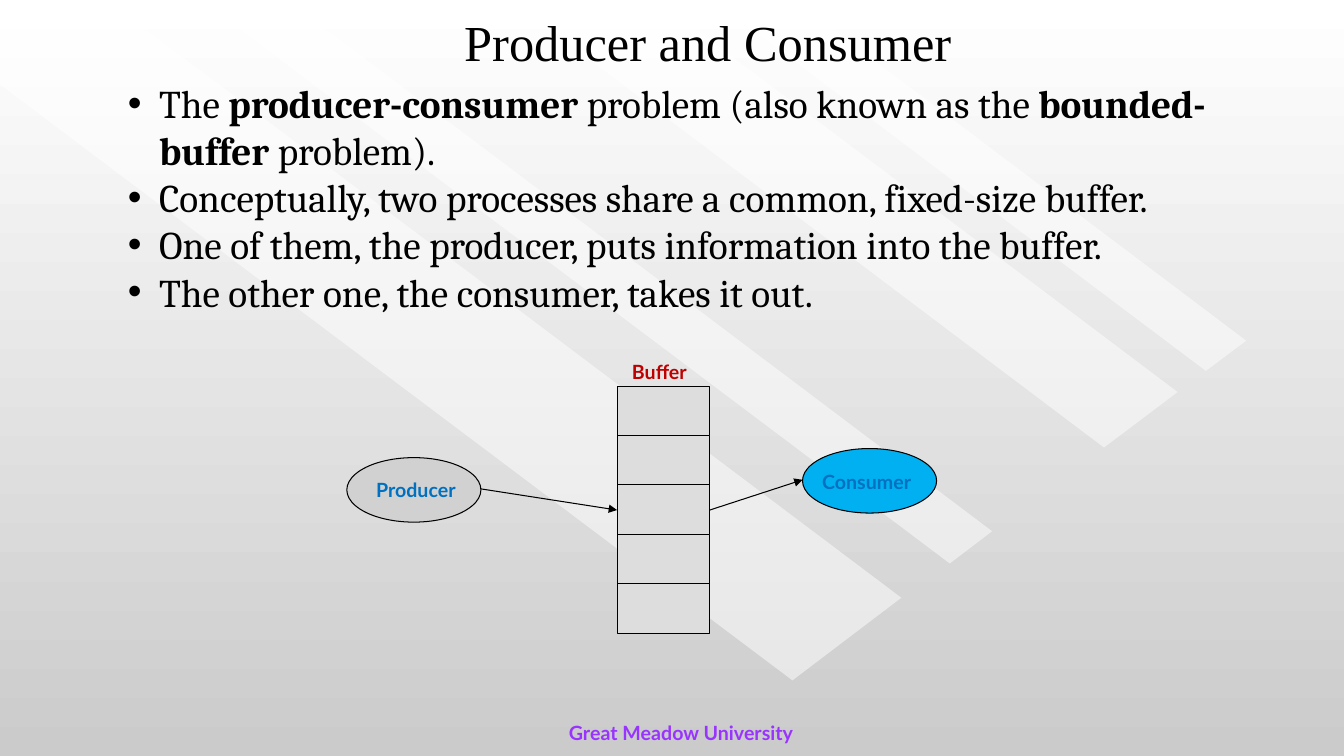
from dataclasses import dataclass

import pptx
import pptx.dml.color
import pptx.enum.shapes
import pptx.enum.text
import pptx.oxml.ns
import pptx.oxml.xmlchemy
import pptx.util
from lxml import etree
from pptx.util import Inches

COLORS = {
    "black": "000000", "white": "FFFFFF", "background_end": "CBCBCB",
    "cell": "DDDDDD", "producer": "D1D1D1", "consumer": "00B0F0",
    "process_label": "0070C0", "buffer_label": "C00000", "footer": "9933FF",
}
ANCHOR = pptx.enum.text.MSO_ANCHOR
SHAPE = pptx.enum.shapes.MSO_SHAPE
qn = pptx.oxml.ns.qn


@dataclass(frozen=True)
class Box:
    left: float
    top: float
    width: float
    height: float

    def emu(self) -> tuple:
        return tuple(Inches(v) for v in (self.left, self.top, self.width, self.height))


@dataclass(frozen=True)
class Label:
    text: str
    box: Box
    color: str
    size: int = 14
    font: str = "Lato"
    bold: bool = True
    anchor: ANCHOR = ANCHOR.BOTTOM


@dataclass(frozen=True)
class Process:
    ellipse: Box
    fill: str
    label: Label


BEAMS = [
    [(8.94, 5.93), (1.06, 0), (0, 0), (0, 0.84), (7.86, 6.75)],
    [(2.85, 0), (9.84, 5.27), (9.42, 5.59), (1.99, 0)],
    [(6.52, 0), (11.68, 3.89), (10.95, 4.44), (5.06, 0)],
    [(7.07, 0), (11.96, 3.68), (12.36, 3.38), (7.88, 0)],
]
TITLE = Label("Producer and Consumer", Box(2.76, -0.01, 8.52, 0.84), "black",
              36, "Times New Roman", False, ANCHOR.MIDDLE)
FOOTER = Label("Great Meadow University", Box(5.17, 6.93, 3.17, 0.5), "footer")
BUFFER_LABEL = Label("Buffer", Box(6.04, 3.5, 1, 0.35), "buffer_label")
PRODUCER = Process(Box(3.44, 4.54, 1.33, 0.64), "producer",
                   Label("Producer", Box(3.5, 4.67, 1.25, 0.35), "process_label"))
CONSUMER = Process(Box(7.96, 4.45, 1.33, 0.64), "consumer",
                   Label("Consumer", Box(7.97, 4.59, 1.25, 0.35), "process_label"))
# Each bullet is a list of (text, bold) runs.
BULLETS = [
    [("The ", False), ("producer-consumer ", True),
     ("problem (also known as the ", False), ("bounded-buffer ", True),
     ("problem).", False)],
    [("Conceptually, two processes share a common, fixed-size buffer.", False)],
    [("One of them, the producer, puts information into the buffer.", False)],
    [("The other one, the consumer, takes it out.", False)],
]
CELL_COUNT = 5
CELL_PITCH = 0.49


def rgb(name: str) -> pptx.dml.color.RGBColor:
    return pptx.dml.color.RGBColor.from_string(COLORS[name])


def paint_background(slide) -> None:
    fill = slide.background.fill
    fill.gradient()
    fill.gradient_angle = 270
    for stop, position, color in zip(fill.gradient_stops, (0, 1), ("white", "background_end")):
        stop.position = position
        stop.color.rgb = rgb(color)


def add_beam(slide, points: list) -> None:
    """Draw a half-transparent white band."""
    start, *rest = [(Inches(x), Inches(y)) for x, y in points]
    builder = slide.shapes.build_freeform(*start, scale=1.0)
    builder.add_line_segments(rest, close=True)
    beam = builder.convert_to_shape()
    beam.shadow.inherit = False
    beam.fill.solid()
    beam.fill.fore_color.rgb = rgb("white")
    beam.line.fill.background()
    color = beam.fill._xPr.find(qn("a:solidFill")).find(qn("a:srgbClr"))
    etree.SubElement(color, qn("a:alpha"), val="50000")


def style_font(font, name: str, size: int, color: str) -> None:
    font.name = name
    font.size = pptx.util.Pt(size)
    font.color.rgb = rgb(color)


def add_label(slide, label: Label) -> None:
    frame = slide.shapes.add_textbox(*label.box.emu()).text_frame
    frame.word_wrap = True
    frame.vertical_anchor = label.anchor
    paragraph = frame.paragraphs[0]
    paragraph.text = label.text
    paragraph.alignment = pptx.enum.text.PP_ALIGN.CENTER
    style_font(paragraph.font, label.font, label.size, label.color)
    paragraph.font.bold = label.bold


def add_bullets(slide, box: Box) -> None:
    frame = slide.shapes.add_textbox(*box.emu()).text_frame
    frame.word_wrap = True
    for index, runs in enumerate(BULLETS):
        paragraph = frame.add_paragraph() if index else frame.paragraphs[0]
        style_font(paragraph.font, "Cambria", 28, "black")
        for text, bold in runs:
            run = paragraph.add_run()
            run.text = text
            style_font(run.font, "Cambria", 28, "black")
            run.font.bold = bold
        properties = paragraph._p.get_or_add_pPr()
        properties.set("marL", str(Inches(0.31)))
        properties.set("indent", str(-Inches(0.31)))
        bullet = etree.Element(qn("a:buChar"), char="•")
        bullet_font = etree.Element(qn("a:buFont"), typeface="Arial")
        properties.insert(0, bullet_font)
        properties.insert(1, bullet)


def add_outlined(slide, preset: SHAPE, box: Box, fill: str):
    shape = slide.shapes.add_shape(preset, *box.emu())
    shape.shadow.inherit = False
    shape.fill.solid()
    shape.fill.fore_color.rgb = rgb(fill)
    shape.line.color.rgb = rgb("black")
    shape.line.width = pptx.util.Pt(0.75)
    return shape


def add_process(slide, process: Process) -> None:
    add_outlined(slide, SHAPE.OVAL, process.ellipse, process.fill)
    add_label(slide, process.label)


def add_arrow(slide, start: tuple, end: tuple):
    arrow = slide.shapes.add_connector(
        pptx.enum.shapes.MSO_CONNECTOR.STRAIGHT, *(Inches(v) for v in start + end))
    arrow.line.color.rgb = rgb("black")
    arrow.line.width = pptx.util.Pt(0.75)
    etree.SubElement(arrow.line._get_or_add_ln(), qn("a:tailEnd"), type="triangle")
    etree.SubElement(arrow._element.spPr, qn("a:effectLst"))
    return arrow


def main() -> None:
    deck = pptx.Presentation()
    deck.slide_width, deck.slide_height = Inches(13.33), Inches(7.5)
    slide = deck.slides.add_slide(deck.slide_layouts[6])
    paint_background(slide)
    for points in BEAMS:
        add_beam(slide, points)
    add_label(slide, TITLE)
    add_label(slide, FOOTER)
    add_bullets(slide, Box(1.17, 0.74, 11.7, 2.46))

    cells = [
        add_outlined(slide, SHAPE.RECTANGLE,
                     Box(6.12, 3.83 + row * CELL_PITCH, 0.92, 0.5), "cell")
        for row in range(CELL_COUNT)
    ]
    add_label(slide, BUFFER_LABEL)
    add_process(slide, PRODUCER)
    add_process(slide, CONSUMER)

    middle_cell = cells[CELL_COUNT // 2]
    add_arrow(slide, (4.77, 4.85), (6.12, 5.05)).end_connect(middle_cell, 1)
    add_arrow(slide, (7.03, 5.05), (7.96, 4.76)).begin_connect(middle_cell, 3)
    deck.save("out.pptx")


if __name__ == "__main__":
    main()
